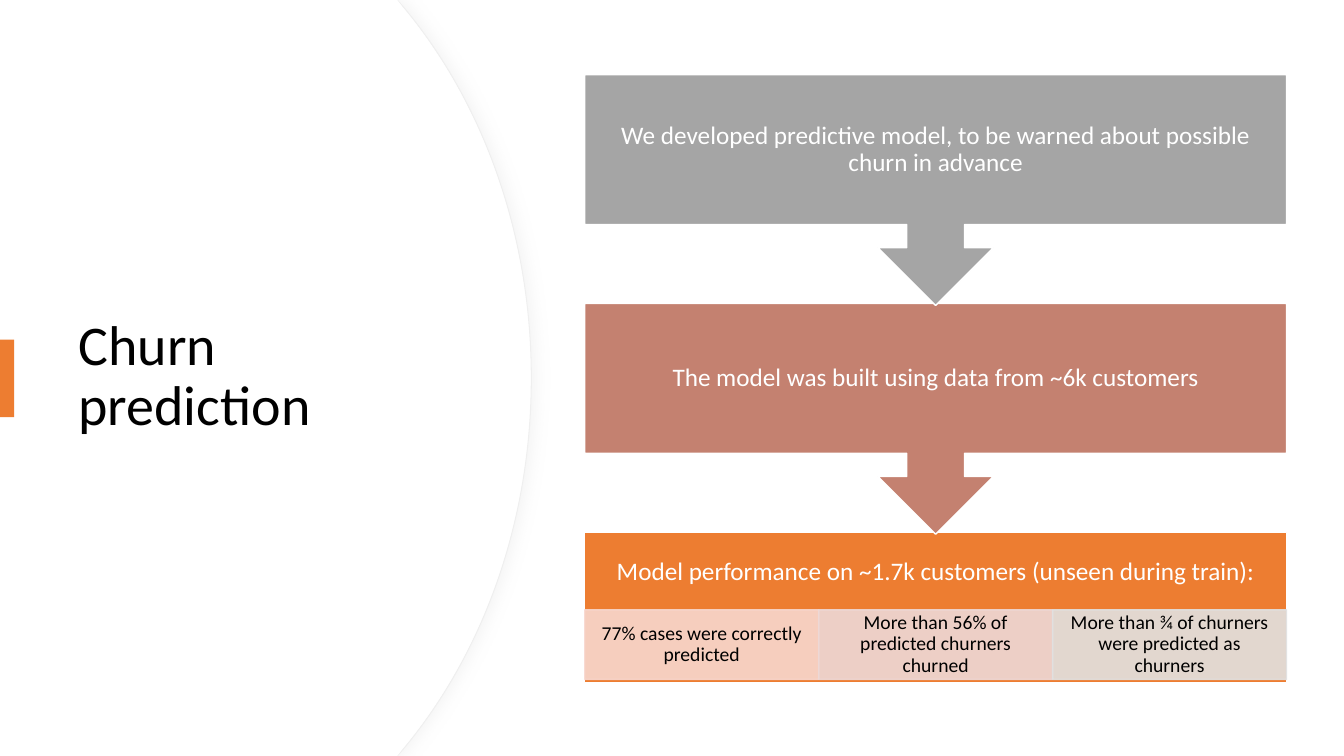
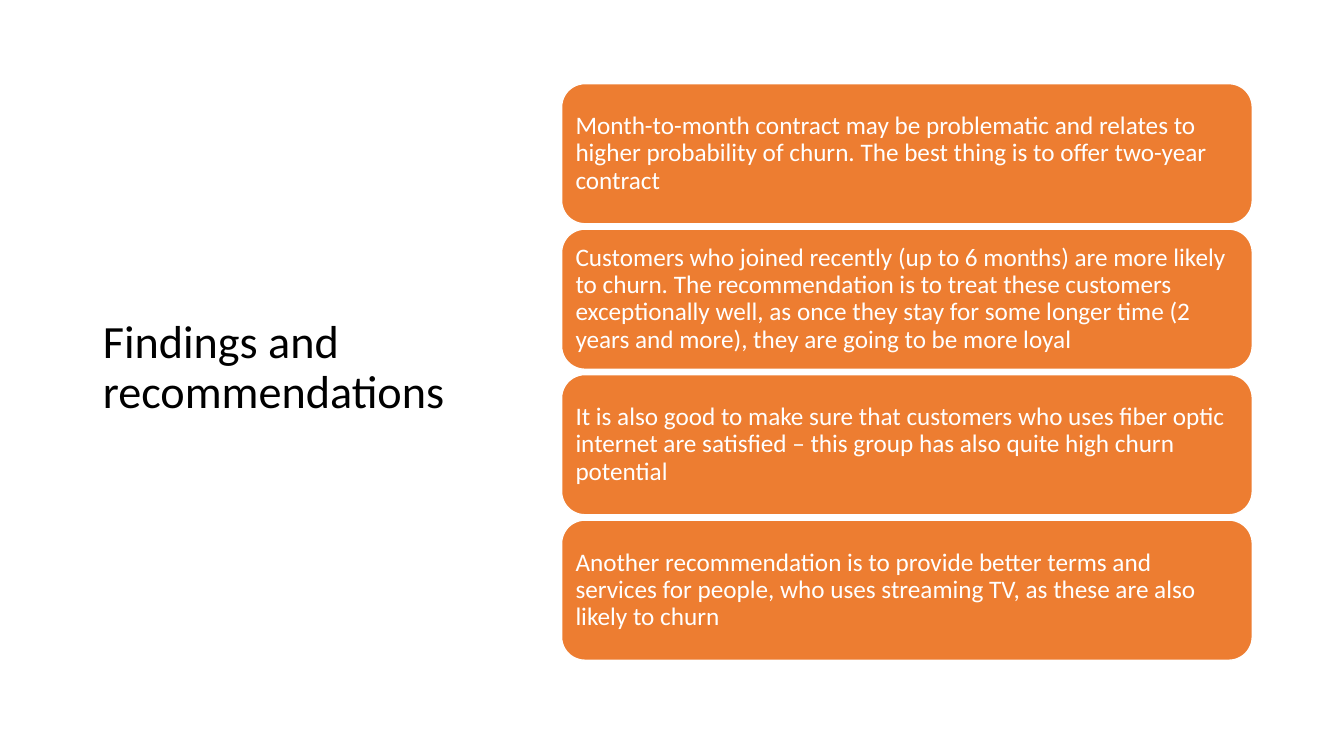
"""Build two slides on churn prediction and the resulting recommendations."""
from lxml.etree import SubElement
from pptx import Presentation
from pptx.dml.color import RGBColor
from pptx.enum.shapes import MSO_SHAPE as Preset
from pptx.enum.text import MSO_ANCHOR as Anchor, PP_ALIGN as Align
from pptx.oxml.ns import qn
from pptx.util import Inches, Pt

BLACK = RGBColor(0x00, 0x00, 0x00)
WHITE = RGBColor(0xFF, 0xFF, 0xFF)
ORANGE = RGBColor(0xED, 0x7D, 0x31)
ROSE = RGBColor(0xC4, 0x81, 0x70)
GRAY = RGBColor(0xA5, 0xA5, 0xA5)
PALE_ORANGE = RGBColor(0xF8, 0xD7, 0xCE)
PALE_ROSE = RGBColor(0xED, 0xD9, 0xD7)
PALE_GRAY = RGBColor(0xE1, 0xE1, 0xE1)
OUTLINE = RGBColor(0xEF, 0xEF, 0xEF)
SHADOW = RGBColor(0xD9, 0xD9, 0xD9)
FONT = "Calibri"


def write_text(shape, text, size=18, color=WHITE, align=Align.CENTER, insets=(0.14, 0.14, 0.14, 0.14)):
    frame = shape.text_frame
    frame.word_wrap = True
    frame.vertical_anchor = Anchor.MIDDLE
    frame.margin_left, frame.margin_top, frame.margin_right, frame.margin_bottom = map(Inches, insets)
    paragraph = frame.paragraphs[0]
    paragraph.alignment = align
    paragraph.line_spacing = 0.9
    run = paragraph.add_run()
    run.text = text
    run.font.name = FONT
    run.font.size = Pt(size)
    run.font.color.rgb = color


def add_box(slide, preset, left, top, width, height, fill, line=None):
    shape = slide.shapes.add_shape(preset, Inches(left), Inches(top), Inches(width), Inches(height))
    shape.shadow.inherit = False
    shape.fill.solid()
    shape.fill.fore_color.rgb = fill
    if line is None:
        shape.line.fill.background()
    else:
        shape.line.color.rgb = line
        shape.line.width = Pt(1)
    return shape


presentation = Presentation()
presentation.slide_width = Inches(13.33)
presentation.slide_height = Inches(7.5)

slides = []
for title_text, title_size, title_box in [
    ("Churn prediction", 40, (0.68, 1.27, 3.94, 4.95)),
    ("Findings and recommendations", 33, (0.92, 0.61, 3.69, 6.09)),
]:
    slide = presentation.slides.add_slide(presentation.slide_layouts[5])
    title = slide.shapes.title
    title.left, title.top, title.width, title.height = map(Inches, title_box)
    write_text(title, title_text, size=title_size, color=BLACK, align=Align.LEFT, insets=(0.1, 0.05, 0.1, 0.05))
    slides.append(slide)
prediction_slide, findings_slide = slides

panels = []
for right in (5.27, 5.26):
    shoulder = right - 1.26
    outline = [(3.94, 0), (shoulder, 0.08), (right, 3.75), (shoulder, 7.42), (3.94, 7.5), (0, 7.5)]
    builder = prediction_slide.shapes.build_freeform(0, 0)
    builder.add_line_segments([(Inches(x), Inches(y)) for x, y in outline], close=True)
    panel = builder.convert_to_shape()
    segments = list(panel.element.spPr.iter(qn("a:lnTo")))
    curves = [[(right - 0.48, 1.02), (right, 2.32)], [(right, 5.18), (right - 0.48, 6.48)]]
    for segment, controls in zip(segments[2:4], curves):
        segment.tag = qn("a:cubicBezTo")
        end_point = segment[0]
        for x, y in controls:
            control = SubElement(segment, qn("a:pt"), x=str(Inches(x)), y=str(Inches(y)))
            end_point.addprevious(control)
    panel.shadow.inherit = False
    panel.fill.solid()
    panel.fill.fore_color.rgb = WHITE
    panel.line.fill.background()
    panels.append(panel)

back_panel, front_panel = panels
back_panel.line.color.rgb = OUTLINE
back_panel.line.width = Pt(0.75)
effects = back_panel.element.spPr.find(qn("a:effectLst"))
shadow = SubElement(effects, qn("a:outerShdw"), blurRad=str(Pt(10)), dist=str(Pt(3)), dir="0", rotWithShape="0")
shadow_color = SubElement(shadow, qn("a:srgbClr"), val=str(SHADOW))
SubElement(shadow_color, qn("a:alpha"), val="25000")

front_panel.element.addnext(prediction_slide.shapes.title.element)
add_box(prediction_slide, Preset.RECTANGLE, 0, 3.37, 0.14, 0.77, ORANGE)

FLOW_LEFT, FLOW_TOP, FLOW_WIDTH, FLOW_PITCH = 5.8, 0.74, 6.96, 2.27
RESULT_TOP, RESULT_HEIGHT = 6.05, 0.69

performance = add_box(
    prediction_slide, Preset.RECTANGLE, FLOW_LEFT, FLOW_TOP + 2 * FLOW_PITCH, FLOW_WIDTH, 1.49, ORANGE, WHITE
)
write_text(
    performance,
    "Model performance on ~1.7k customers (unseen during train):",
    insets=(0.14, 0.14, 0.14, 0.14 + RESULT_HEIGHT),
)

results = [
    ("77% cases were correctly predicted", PALE_ORANGE),
    ("More than 56% of predicted churners churned", PALE_ROSE),
    ("More than ¾ of churners were predicted as churners", PALE_GRAY),
]
result_width = FLOW_WIDTH / len(results)
for index, (text, color) in enumerate(results):
    left = FLOW_LEFT + index * result_width
    result = add_box(
        prediction_slide, Preset.RECTANGLE, left, RESULT_TOP, result_width, RESULT_HEIGHT, color, color
    )
    for color_element in result.element.spPr.iter(qn("a:srgbClr")):
        SubElement(color_element, qn("a:alpha"), val="90000")
    write_text(result, text, size=14, color=BLACK, insets=(0.11, 0.02, 0.11, 0.02))

for index, text, color in [
    (1, "The model was built using data from ~6k customers", ROSE),
    (0, "We developed predictive model, to be warned about possible churn in advance", GRAY),
]:
    top = FLOW_TOP + index * FLOW_PITCH
    step_box = add_box(
        prediction_slide, Preset.DOWN_ARROW_CALLOUT, FLOW_LEFT, top, FLOW_WIDTH, 2.29, color, WHITE
    )
    write_text(step_box, text)

findings = [
    "Month-to-month contract may be problematic and relates to higher probability of churn. "
    "The best thing is to offer two-year contract",
    "Customers who joined recently (up to 6 months) are more likely to churn. "
    "The recommendation is to treat these customers exceptionally well, "
    "as once they stay for some longer time (2 years and more), they are going to be more loyal",
    "It is also good to make sure that customers who uses fiber optic internet are satisfied "
    "– this group has also quite high churn potential",
    "Another recommendation is to provide better terms and services for people, "
    "who uses streaming TV, as these are also likely to churn",
]
FIRST_FINDING_TOP, LAST_FINDING_TOP = 0.83, 5.16
finding_pitch = (LAST_FINDING_TOP - FIRST_FINDING_TOP) / (len(findings) - 1)
for index, text in enumerate(findings):
    top = FIRST_FINDING_TOP + index * finding_pitch
    finding = add_box(findings_slide, Preset.ROUNDED_RECTANGLE, 5.57, top, 6.85, 1.39, ORANGE, WHITE)
    write_text(finding, text, align=Align.LEFT, insets=(0.07, 0.07, 0.07, 0.07))

presentation.save("out.pptx")
